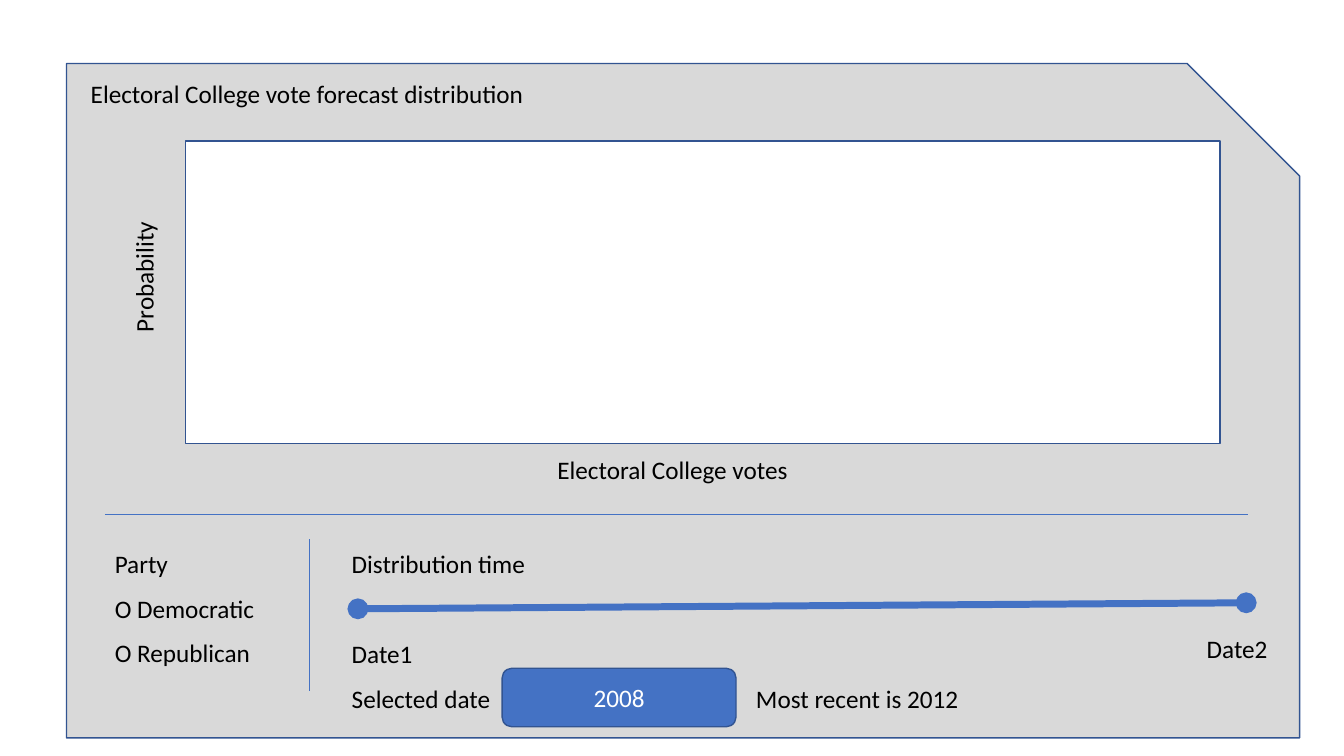
from lxml import etree
from pptx import Presentation
from pptx.dml.color import RGBColor
from pptx.enum.shapes import MSO_CONNECTOR, MSO_SHAPE
from pptx.enum.text import MSO_ANCHOR, MSO_AUTO_SIZE, PP_ALIGN
from pptx.oxml.ns import qn
from pptx.util import Inches, Pt

COLORS = {
    "panel": "D9D9D9",
    "white": "FFFFFF",
    "black": "000000",
    "accent": "4472C4",
    "outline": "325491",
}
FONT = "Calibri"
LABEL_HEIGHT = 0.4
PARTY_LEFT = 1.04
TIME_LEFT = 3.39

# text, left, top, width, wrapped, rotation
LABELS = [
    ("Electoral College votes", 5.43, 4.46, 2.7, True, 0),
    ("Probability", 0.7, 2.47, 1.45, True, 270),
    ("Party", PARTY_LEFT, 5.39, 0.73, False, 0),
    ("O Democratic", PARTY_LEFT, 5.84, 1.6, False, 0),
    ("O Republican", PARTY_LEFT, 6.27, 1.56, False, 0),
    ("Distribution time", TIME_LEFT, 5.39, 1.94, False, 0),
    ("Date1", TIME_LEFT, 6.28, 0.81, False, 0),
    ("Date2", 11.87, 6.23, 0.81, False, 0),
    ("Selected date", TIME_LEFT, 6.73, 1.59, False, 0),
    ("Most recent is 2012", 7.4, 6.73, 2.23, False, 0),
]


def color(name):
    return RGBColor.from_string(COLORS[name])


def write(shape, text, ink="black", align=PP_ALIGN.LEFT, anchor=MSO_ANCHOR.TOP):
    frame = shape.text_frame
    frame.text = text
    frame.vertical_anchor = anchor
    para = frame.paragraphs[0]
    para.alignment = align
    para.font.name = FONT
    para.font.size = Pt(18)
    para.font.color.rgb = color(ink)


def add_title(page, text, left, top, width):
    title = page.shapes.title
    title.left, title.top = Inches(left), Inches(top)
    title.width, title.height = Inches(width), Inches(LABEL_HEIGHT)
    write(title, text)
    title.text_frame.word_wrap = False
    title.text_frame.auto_size = MSO_AUTO_SIZE.NONE
    # Bring the title in front of the panel
    title.element.getparent().append(title.element)


def add_label(page, text, left, top, width, wrapped, rotation):
    box = page.shapes.add_textbox(
        Inches(left), Inches(top), Inches(width), Inches(LABEL_HEIGHT))
    box.rotation = rotation
    write(box, text)
    box.text_frame.word_wrap = wrapped
    box.text_frame.auto_size = MSO_AUTO_SIZE.SHAPE_TO_FIT_TEXT


def add_block(page, kind, left, top, width, height, fill):
    block = page.shapes.add_shape(
        kind, Inches(left), Inches(top), Inches(width), Inches(height))
    block.shadow.inherit = False
    block.fill.solid()
    block.fill.fore_color.rgb = color(fill)
    block.line.color.rgb = color("outline")
    block.line.width = Pt(1)
    return block


def add_line(page, x1, y1, x2, y2, weight, round_ends=False):
    line = page.shapes.add_connector(
        MSO_CONNECTOR.STRAIGHT, Inches(x1), Inches(y1), Inches(x2), Inches(y2))
    line.line.color.rgb = color("accent")
    line.line.width = Pt(weight)
    if round_ends:
        stroke = line.line.fill and line.element.spPr.find(qn("a:ln"))
        for end in ("a:headEnd", "a:tailEnd"):
            etree.SubElement(stroke, qn(end), type="oval")
    etree.SubElement(line.element.spPr, qn("a:effectLst"))


def main():
    deck = Presentation()
    deck.slide_width, deck.slide_height = Inches(13.33), Inches(7.5)
    page = deck.slides.add_slide(deck.slide_layouts[5])

    # Panel and empty plot area
    add_block(page, MSO_SHAPE.SNIP_1_RECTANGLE, 0.66, 0.63, 12.23, 6.69, "panel")
    add_title(page, "Electoral College vote forecast distribution", 0.8, 0.73, 4.54)
    add_block(page, MSO_SHAPE.RECTANGLE, 1.84, 1.4, 10.26, 3, "white")

    # Dividers and time slider
    add_line(page, PARTY_LEFT, 5.1, 12.38, 5.1, 0.5)
    add_line(page, 3.07, 5.35, 3.07, 6.86, 0.5)
    add_line(page, 3.55, 6.04, 12.36, 5.98, 5, round_ends=True)

    # Axis names, party options and dates
    for label in LABELS:
        add_label(page, *label)

    # Selected year
    year = add_block(
        page, MSO_SHAPE.ROUNDED_RECTANGLE, 4.98, 6.63, 2.32, 0.58, "accent")
    write(year, "2008", "white", PP_ALIGN.CENTER, MSO_ANCHOR.MIDDLE)

    deck.save("out.pptx")


if __name__ == "__main__":
    main()
